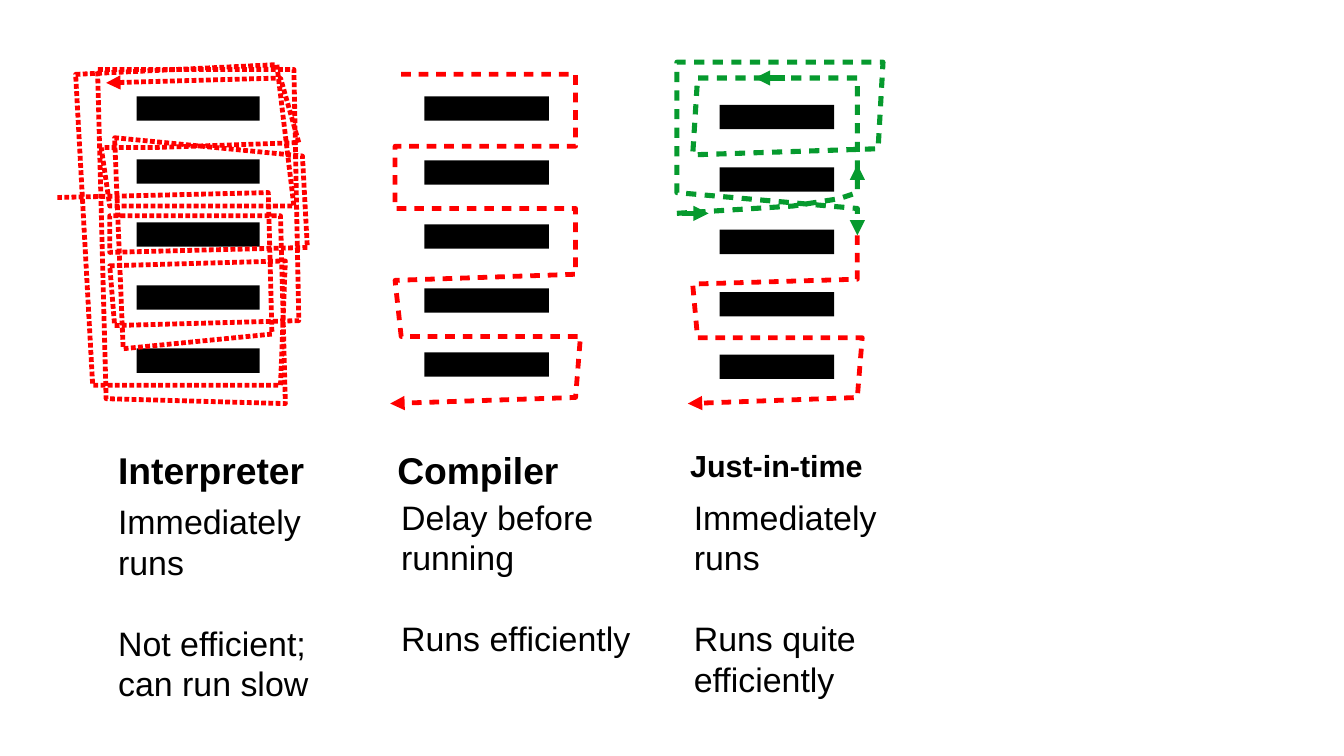
import pptx
import pptx.dml.color
import pptx.enum.shapes
import pptx.oxml.ns
import pptx.util
from lxml import etree

# Lengths are cells of a square grid, 110.2 columns by 62 rows.
COLUMNS, ROWS = 110.2, 62
CELL = pptx.util.Inches(0.1)
RED, GREEN, BLACK = "FF0000", "069A2E", "000000"
DOTTED, DASHED = (100, 50), (200, 165)  # dash and gap, percent of line width

INTERPRETER_PATH = [
    (8.7, 6.8), (23, 6.4), (24.5, 11.7), (12.6, 12.1), (8.3, 12.1), (9, 16.9),
    (24.1, 16.9), (22.7, 5.3), (6.2, 6.1), (7.6, 31.6), (23, 31.6),
    (23.4, 21.4), (9, 21.8), (9.4, 26.7), (24.5, 26.3), (24.1, 5.7), (8, 5.7),
    (8.7, 32.7), (23.4, 33.1), (23, 17.7), (9, 17.7), (9, 20.7), (25.2, 20.3),
    (24.8, 12.8), (9.4, 11.3), (10.1, 28.6), (22.3, 27.4), (22, 15.8),
    (4.7, 16.2)]
COMPILER_PATH = [
    (32.9, 6.1), (47.2, 6.1), (47.2, 12), (32.4, 12), (32.4, 17.1),
    (47.2, 17.1), (47.2, 22.5), (32.4, 23), (32.9, 27.6), (47.6, 27.6),
    (47.2, 32.6), (32, 33.1)]
JIT_RUN_PATH = [
    (70.3, 19.3), (70.3, 22.9), (56.8, 23.3), (57.2, 27.7), (70.7, 27.7),
    (70.3, 32.6), (56.4, 33.1)]
JIT_COMPILE_PATH = [
    (55.5, 17.5), (65, 16.9), (68.8, 16.3), (70.3, 15.8), (70.3, 6.4),
    (57.2, 6.4), (56.8, 12.7), (72, 12.2), (72.4, 5.1), (55.5, 5.1),
    (55.5, 15.8), (70.3, 17.1), (70.3, 19.3)]
JIT_ARROWS = [((64.4, 6.4), (61.9, 6.4)), ((55.9, 17.5), (58.1, 17.5)),
              ((70.3, 15.3), (70.3, 13.5))]


def cells(*counts):
    return [round(count * CELL) for count in counts]


def color(hex_string):
    return pptx.dml.color.RGBColor.from_string(hex_string)


def add_line_part(parent, name, **attributes):
    return etree.SubElement(parent, pptx.oxml.ns.qn("a:" + name), attributes)


def style_line(line, hex_string, width, arrow_end, dash=None):
    line.color.rgb = color(hex_string)
    line.width = pptx.util.Pt(width)
    outline = line._get_or_add_ln()
    if dash:
        pattern = add_line_part(outline, "custDash")
        add_line_part(pattern, "ds", d=str(dash[0] * 1000), sp=str(dash[1] * 1000))
    add_line_part(outline, arrow_end, type="triangle")


def add_code_blocks(slide, left, top, width, pitch):
    """Draw the five bars that stand for blocks of code."""
    for index in range(5):
        shape = slide.shapes.add_shape(
            pptx.enum.shapes.MSO_SHAPE.RECTANGLE,
            *cells(left, top + index * pitch, width, 2))
        shape.shadow.inherit = False
        shape.fill.solid()
        shape.fill.fore_color.rgb = color(BLACK)
        shape.line.fill.background()


def add_execution_path(slide, points, hex_string, width, dash, arrow_end="tailEnd"):
    start, *rest = [cells(*point) for point in points]
    builder = slide.shapes.build_freeform(*start)
    builder.add_line_segments(rest, close=False)
    shape = builder.convert_to_shape()
    shape.shadow.inherit = False
    shape.fill.background()
    style_line(shape.line, hex_string, width, arrow_end, dash)


def add_arrow(slide, start, end):
    connector = slide.shapes.add_connector(
        pptx.enum.shapes.MSO_CONNECTOR.STRAIGHT, *cells(*start, *end))
    style_line(connector.line, GREEN, 3, "tailEnd")
    add_line_part(connector._element.spPr, "effectLst")


def add_text(slide, box, groups, size, bold=False):
    """Write groups of lines, with one line's height between groups."""
    text_frame = slide.shapes.add_textbox(*cells(*box)).text_frame
    text_frame.word_wrap = True
    text_frame.text = "\n".join(groups)
    group_starts = {groups[0].count("\n") + 1}
    for index, paragraph in enumerate(text_frame.paragraphs):
        if index in group_starts:
            paragraph.space_before = pptx.util.Pt(size * 1.18)
        for run in paragraph.runs:
            run.font.name = "Arial"
            run.font.size = pptx.util.Pt(size)
            run.font.bold = bold
            run.font.color.rgb = color(BLACK)


def main():
    presentation = pptx.Presentation()
    presentation.slide_width, presentation.slide_height = cells(COLUMNS, ROWS)
    slide = presentation.slides.add_slide(presentation.slide_layouts[6])

    add_code_blocks(slide, 11.2, 7.9, 10.1, 5.17)
    add_execution_path(slide, INTERPRETER_PATH, RED, 2.83, DOTTED, "headEnd")
    add_code_blocks(slide, 34.8, 7.9, 10.2, 5.25)
    add_execution_path(slide, COMPILER_PATH, RED, 2.83, DASHED)
    add_code_blocks(slide, 59, 8.6, 9.4, 5.12)
    add_execution_path(slide, JIT_RUN_PATH, RED, 2.83, DASHED)
    add_execution_path(slide, JIT_COMPILE_PATH, GREEN, 3, DASHED)
    for start, end in JIT_ARROWS:
        add_arrow(slide, start, end)

    for title, left, size, body_box, groups in [
        ("Interpreter", 8.7, 22, (8.7, 40.6, 19.7, 16.5),
         ["Immediately\nruns", "Not efficient;\ncan run slow"]),
        ("Compiler", 31.6, 22, (31.9, 40.2, 21.3, 16.5),
         ["Delay before running", "Runs efficiently"]),
        ("Just-in-time", 55.6, 18, (55.9, 40.2, 18.1, 16.5),
         ["Immediately\nruns", "Runs quite efficiently"]),
    ]:
        add_text(slide, (left, 36.2, 18.5, 4.4), [title], size, bold=True)
        add_text(slide, body_box, groups, 20)

    presentation.save("out.pptx")


if __name__ == "__main__":
    main()
